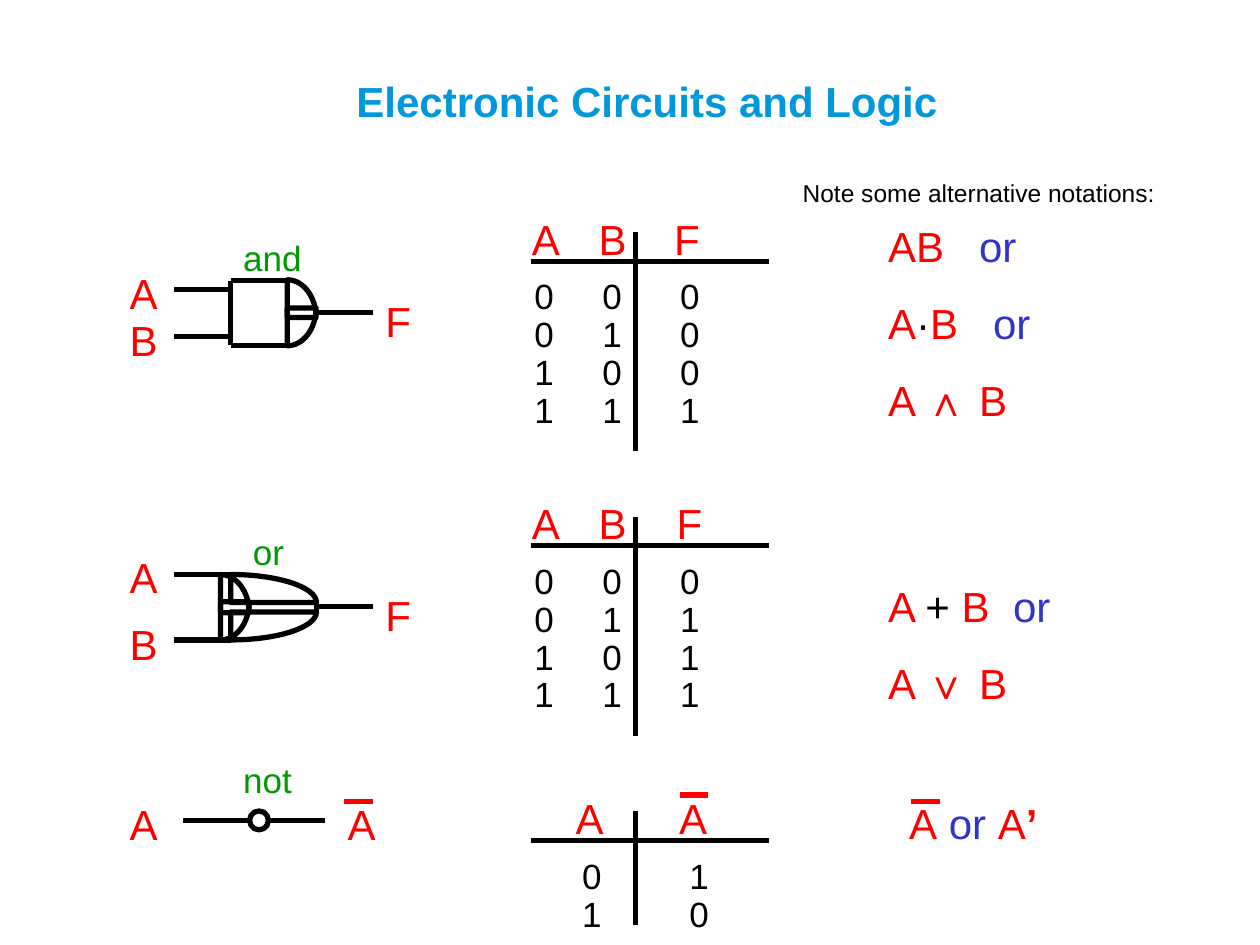
from lxml import etree
from pptx import Presentation
from pptx.dml.color import RGBColor
from pptx.enum.shapes import MSO_CONNECTOR, MSO_SHAPE
from pptx.enum.text import MSO_ANCHOR
from pptx.oxml.ns import qn
from pptx.util import Pt

STRAIGHT, OVAL = MSO_CONNECTOR.STRAIGHT, MSO_SHAPE.OVAL
TOP, BOTTOM = MSO_ANCHOR.TOP, MSO_ANCHOR.BOTTOM
BLACK, RED, GREEN, BLUE, TITLE_BLUE = "000000", "FF0000", "009900", "3333CC", "0098DB"
LABEL_W, LABEL_H, ROW_H = 27.4, 33, 28
ROW_PITCH = 21.6
ARC = 0.55


def color(hex_value):
    return RGBColor.from_string(hex_value)


def outline(sp, hex_value=BLACK):
    sp.line.color.rgb = color(hex_value)
    sp.line.width = Pt(3)


def add_line(s, x1, y1, x2, y2, hex_value=BLACK):
    ln = s.shapes.add_connector(STRAIGHT, Pt(x1), Pt(y1), Pt(x2), Pt(y2))
    outline(ln, hex_value)
    etree.SubElement(ln._element.spPr, qn("a:effectLst"))


def add_text(s, box, paragraphs, size, indent=0, gap=0, anchor=TOP):
    """Paragraphs are lists of (text, colour, bold, letter spacing); the last two are optional."""
    sp = s.shapes.add_textbox(*map(Pt, box))
    tf = sp.text_frame
    tf.word_wrap = True
    tf.vertical_anchor = anchor
    for i, runs in enumerate(paragraphs):
        p = tf.paragraphs[0] if i == 0 else tf.add_paragraph()
        p.space_before = Pt(gap if i else 0)
        if indent:
            p._p.get_or_add_pPr().set("marL", str(Pt(indent)))
        for text, hex_value, *extra in runs:
            bold, spacing = (*extra, False, 0)[:2] if len(extra) < 2 else extra
            r = p.add_run()
            r.text = text
            formats = {"name": "Arial", "size": Pt(size), "bold": bold}
            for name, value in formats.items():
                setattr(r.font, name, value)
            r.font.color.rgb = color(hex_value)
            if spacing:
                r._r.get_or_add_rPr().set("spc", str(round(spacing * 100)))


def wide_space(spacing):
    return (" ", BLACK, False, spacing)


def add_label(s, x, y, letter):
    add_text(s, (x, y, LABEL_W, LABEL_H), [[(letter, RED)]], 24)


def add_overbar(s, x, y):
    add_line(s, x, y, x + 16.5, y, RED)


def add_sector(s, cx, cy, rx, ry):
    """Quarter ellipse with its two radii; the sign of ry says up or down."""
    fb = s.shapes.build_freeform(Pt(cx), Pt(cy))
    fb.add_line_segments([(Pt(cx), Pt(cy + ry)), (Pt(cx + rx), Pt(cy))], close=True)
    sp = fb.convert_to_shape()
    sp.shadow.inherit = False
    sp.fill.background()
    outline(sp)
    start, end = list(sp._element.iter(qn("a:lnTo")))[:2]
    (x0, y0), (x1, y1) = [(int(e[0].get("x")), int(e[0].get("y"))) for e in (start, end)]
    curve = etree.Element(qn("a:cubicBezTo"))
    for x, y in ((x0 + ARC * (x1 - x0), y0), (x1, y1 + ARC * (y0 - y1)), (x1, y1)):
        etree.SubElement(curve, qn("a:pt"), x=str(round(x)), y=str(round(y)))
    end.getparent().replace(end, curve)


def add_gate_name(s, left, top, name, indent=0):
    add_text(s, (left + 64.8, top, 75.6, ROW_H), [[(name, GREEN)]], 20, indent=indent)


def add_gate_terminals(s, left, top, label_ys, wire_ys):
    """Input and output letters and wires of a gate with two inputs."""
    for letter, label_y, wire_y in zip("AB", label_ys, wire_ys):
        add_label(s, left, top + label_y, letter)
        add_line(s, left + 32.4, top + wire_y, left + 64.8, top + wire_y)
    add_line(s, left + 113.8, top + 47, left + 146.2, top + 47)
    add_label(s, left + 146.2, top + 33.8, "F")


def add_and_gate(s, left, top):
    add_gate_name(s, left, top, "and")
    add_gate_terminals(s, left, top, (17.3, 44.6), (33.8, 60.5))
    back, front, upper, lower = left + 64.8, left + 97.2, top + 28.6, top + 65.6
    for y in (upper, lower):
        add_line(s, back, y, front, y)
    add_line(s, back, upper, back, lower)
    add_sector(s, front, top + 49.7, 16.4, -21.6)
    add_sector(s, front, top + 44.2, 16.4, 21.6)


def add_or_gate(s, left, top):
    add_gate_name(s, left, top, "or", indent=5.6)
    add_gate_terminals(s, left, top, (12.2, 50.4), (28.8, 66.2))
    for x, rx, ry in ((59, 16.4, 21.8), (64.8, 49, 16)):
        add_sector(s, left + x, top + 28.8 + ry, rx, -ry)
        add_sector(s, left + x, top + 66.2 - ry, rx, ry)
    add_line(s, left + 113.8, top + 44.8, left + 113.8, top + 50.2)


def add_not_gate(s, left, top):
    add_gate_name(s, left, top, "not")
    add_label(s, left, top + 23, "A")
    for x1, x2 in ((37.4, 75.6), (86.4, 118.8)):
        add_line(s, left + x1, top + 39, left + x2, top + 39)
    sp = s.shapes.add_shape(OVAL, Pt(left + 75.6), Pt(top + 33.6), Pt(10.8), Pt(10.8))
    sp.shadow.inherit = False
    sp.fill.background()
    outline(sp)
    add_label(s, left + 124.5, top + 23, "A")
    add_overbar(s, left + 129.6, top + 28)


def add_truth_table(s, left, top, headers, rows, row_x, spacings, height):
    """Headers are (letter, x offset); each row is a string of digits."""
    for letter, x in headers:
        add_label(s, left + x, top, letter)
    add_line(s, left + 6.5, top + 31, left + 142.6, top + 31)
    add_line(s, left + 66.4, top + 14.4, left + 66.4, top + height)
    for i, digits in enumerate(rows):
        runs = [(digits[0], BLACK)]
        for spacing, digit in zip(spacings, digits[1:]):
            runs += [wide_space(spacing), (digit, BLACK)]
        box = (left + row_x, top + 35.3 + i * ROW_PITCH, 121 - row_x, ROW_H)
        add_text(s, box, [runs], 20)


def add_notations(s, left):
    add_text(s, (left - 48.8, 97.9, 233.3, 21), [[("Note some alternative notations:", BLACK)]], 14)
    add_text(s, (left, 122.6, 135.4, 135.4), [
        [("AB", RED), wide_space(13.3), ("or", BLUE)],
        [("A", RED), ("·", BLACK), ("B", RED), wide_space(13.3), ("or", BLUE)],
        [("A ", RED), ("∧", RED, True), (" B", RED)],
    ], 24, gap=15)
    add_text(s, (left, 328.3, 135.4, 67.7), [
        [("A ", RED), ("+", BLACK), (" B", RED), wide_space(6.7), ("or", BLUE)],
        [("A ", RED), ("∨", RED, True), (" B", RED)],
    ], 24, gap=15)
    add_text(s, (left, 452.2, 135.4, 33.8), [
        [("A", RED), (" or ", BLUE), ("A", RED), ("’", RED, True)],
    ], 24, indent=12)
    add_overbar(s, left + 20.2, 458)


def main():
    prs = Presentation()
    prs.slide_width, prs.slide_height = Pt(720), Pt(540)
    s = prs.slides.add_slide(prs.slide_layouts[6])
    add_text(s, (196.6, 39.6, 481.7, 36), [[("Electronic Circuits and Logic", TITLE_BLUE, True)]],
             24, anchor=BOTTOM)

    gate_left, table_left = 67, 296.8
    add_and_gate(s, gate_left, 131.8)
    add_or_gate(s, gate_left, 299.5)
    add_not_gate(s, gate_left, 429.8)

    for top, output_x, rows in ((118.3, 81.4, ("000", "010", "100", "111")),
                                (280.9, 82.8, ("000", "011", "101", "111"))):
        headers = (("A", 0), ("B", 38.2), ("F", output_x))
        add_truth_table(s, table_left, top, headers, rows, 1.4, (22.2, 27.8), 139.7)
    add_truth_table(s, table_left, 449.3, (("A", 25), ("A", 84.2)), ("01", "10"),
                    28.8, (44.5,), 79.2)
    add_overbar(s, table_left + 91.5, 454.3)

    add_notations(s, 500.4)
    prs.save("out.pptx")


if __name__ == "__main__":
    main()
